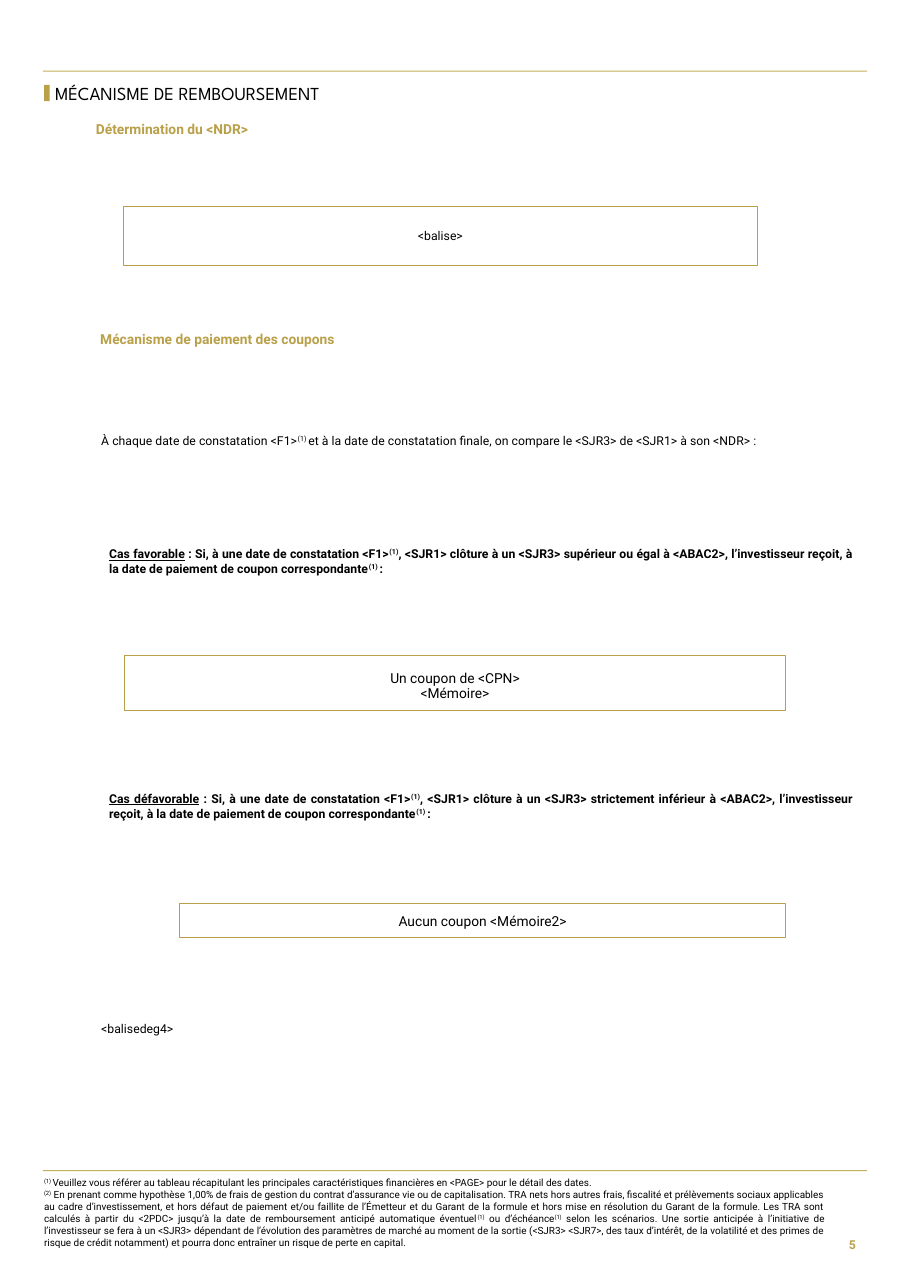
from pptx import Presentation
from pptx.dml.color import RGBColor
from pptx.enum.shapes import MSO_SHAPE
from pptx.enum.text import MSO_ANCHOR, MSO_AUTO_SIZE, PP_ALIGN
from pptx.util import Pt

RECTANGLE = MSO_SHAPE.RECTANGLE
TOP, MIDDLE = MSO_ANCHOR.TOP, MSO_ANCHOR.MIDDLE
NO_AUTOFIT = MSO_AUTO_SIZE.NONE
LEFT, CENTER = PP_ALIGN.LEFT, PP_ALIGN.CENTER
RIGHT, JUSTIFY = PP_ALIGN.RIGHT, PP_ALIGN.JUSTIFY

GOLD = RGBColor(0xB9, 0xA0, 0x49)
LIGHT_GOLD = RGBColor(0xC5, 0xAF, 0x5C)
BLACK = RGBColor(0, 0, 0)
BODY_FONT, TITLE_FONT = "Roboto", "League Spartan"
TITLE_LAYOUT = 5

SUBHEADINGS = [
    (62.7, 79.2, "Détermination du <NDR>"),
    (65.5, 216, "Mécanisme de paiement des coupons"),
]
STATEMENTS = [
    (283, "À chaque date de constatation <F1>^(1) ^et à la date de constatation finale, "
          "on compare le <SJR3> de <SJR1> à son <NDR> :"),
    (667.4, "<balisedeg4>"),
]
CASES = [
    (357.1, "Cas favorable", "supérieur ou égal"),
    (517, "Cas défavorable", "strictement inférieur"),
]
RESULT_BOXES = [
    ((80.6, 134.6, 414.7, 38.9), ["<balise>"], 8, 0.5, 14.4, 14.4, 1),
    ((81.4, 428.4, 432, 36), ["Un coupon de <CPN>", "<Mémoire>"], 9, 0.75, 10.8, 5.8, 0.9),
    ((117.4, 590.4, 396, 22.3), ["Aucun coupon <Mémoire2>"], 9, 0.75, 5.8, 5.8, 1),
]
FOOTNOTES = [
    "^(1) ^Veuillez vous référer au tableau récapitulant les principales caractéristiques "
    "financières en <PAGE> pour le détail des dates. ",
    "^(2)^ En prenant comme hypothèse 1,00% de frais de gestion du contrat d’assurance vie ou "
    "de capitalisation. TRA nets hors autres frais, fiscalité et prélèvements sociaux "
    "applicables au cadre d’investissement, et hors défaut de paiement et/ou faillite de "
    "l’Émetteur et du Garant de la formule et hors mise en résolution du Garant de la formule. "
    "Les TRA sont calculés à partir du <2PDC> jusqu’à la date de remboursement anticipé "
    "automatique éventuel^(1)^ ou d’échéance^(1)^ selon les scénarios. Une sortie anticipée à "
    "l’initiative de l’investisseur se fera à un <SJR3> dépendant de l’évolution des paramètres "
    "de marché au moment de la sortie (<SJR3> <SJR7>, des taux d’intérêt, de la volatilité et "
    "des primes de risque de crédit notamment) et pourra donc entraîner un risque de perte en "
    "capital.",
]


def points(*lengths):
    return [Pt(length) for length in lengths]


def add_runs(paragraph, text):
    for index, part in enumerate(text.split("^")):
        if part:
            run = paragraph.add_run()
            run.text = part
            if index % 2:
                run.font._element.set("baseline", "30000")


def prepare_frame(shape, anchor=TOP, margins=(0, 0, 0, 0)):
    frame = shape.text_frame
    frame.word_wrap = True
    frame.auto_size = NO_AUTOFIT
    frame.vertical_anchor = anchor
    (frame.margin_left, frame.margin_top,
     frame.margin_right, frame.margin_bottom) = points(*margins)
    return frame


def format_paragraph(paragraph, size, alignment, color=BLACK, bold=False, name=BODY_FONT):
    paragraph.alignment = alignment
    paragraph.font.name = name
    paragraph.font.size = Pt(size)
    paragraph.font.bold = bold
    paragraph.font.color.rgb = color


def fill_frame(frame, texts, size, alignment, **style):
    for index, text in enumerate(texts):
        paragraph = frame.add_paragraph() if index else frame.paragraphs[0]
        format_paragraph(paragraph, size, alignment, **style)
        add_runs(paragraph, text)


def add_text(slide, bounds, texts, size, alignment, anchor=TOP, **style):
    frame = prepare_frame(slide.shapes.add_textbox(*points(*bounds)), anchor)
    fill_frame(frame, texts, size, alignment, **style)


def add_bar(slide, bounds, color):
    bar = slide.shapes.add_shape(RECTANGLE, *points(*bounds))
    bar.shadow.inherit = False
    bar.fill.solid()
    bar.fill.fore_color.rgb = color
    bar.line.fill.background()


def add_title(slide, text):
    title = slide.shapes.title
    title.left, title.top, title.width, title.height = points(36, 52.6, 303, 18)
    frame = prepare_frame(title, MIDDLE)
    fill_frame(frame, [text], 12, LEFT, name=TITLE_FONT)
    frame.paragraphs[0].line_spacing = 0.9


def add_case(slide, top, label, comparison):
    frame = prepare_frame(slide.shapes.add_textbox(*points(71.3, top, 486.7, 19.4)))
    paragraph = frame.paragraphs[0]
    format_paragraph(paragraph, 8, JUSTIFY, bold=True)
    label_run = paragraph.add_run()
    label_run.text = label
    label_run.font.underline = True
    add_runs(paragraph, " : Si, à une date de constatation <F1>^(1)^, <SJR1> clôture à un <SJR3> "
                        f"{comparison} à <ABAC2>, l’investisseur reçoit, à la date de paiement "
                        "de coupon correspondante^(1) ^: ")


def add_result_box(slide, bounds, texts, size, line_width, top, bottom, line_spacing):
    box = slide.shapes.add_shape(RECTANGLE, *points(*bounds))
    box.shadow.inherit = False
    box.fill.background()
    box.line.color.rgb = GOLD
    box.line.width = Pt(line_width)
    frame = prepare_frame(box, MIDDLE, (8.6, top, 8.6, bottom))
    fill_frame(frame, texts, size, CENTER)
    for paragraph in frame.paragraphs:
        paragraph.line_spacing = line_spacing


def main():
    presentation = Presentation()
    presentation.slide_width, presentation.slide_height = points(595.44, 841.68)
    slide = presentation.slides.add_slide(presentation.slide_layouts[TITLE_LAYOUT])

    for rule_top in (46.1, 764.6):
        add_bar(slide, (28.1, rule_top, 538.6, 0.7), LIGHT_GOLD)
    add_bar(slide, (28.8, 55.4, 3.6, 10.8), GOLD)
    add_title(slide, "MÉCANISME DE REMBOURSEMENT")

    for left, top, text in SUBHEADINGS:
        add_text(slide, (left, top, 480, 13), [text], 9, LEFT, color=GOLD, bold=True)
    for top, text in STATEMENTS:
        add_text(slide, (66.2, top, 486.7, 9.4), [text], 8, JUSTIFY)
    for case in CASES:
        add_case(slide, *case)
    for result_box in RESULT_BOXES:
        add_result_box(slide, *result_box)

    add_text(slide, (28.8, 769, 510.5, 47.5), FOOTNOTES, 6.5, JUSTIFY)
    add_text(slide, (538.6, 798.5, 20.9, 30.2), ["5"], 8, RIGHT, MIDDLE, color=GOLD, bold=True)
    presentation.save("out.pptx")


if __name__ == "__main__":
    main()
